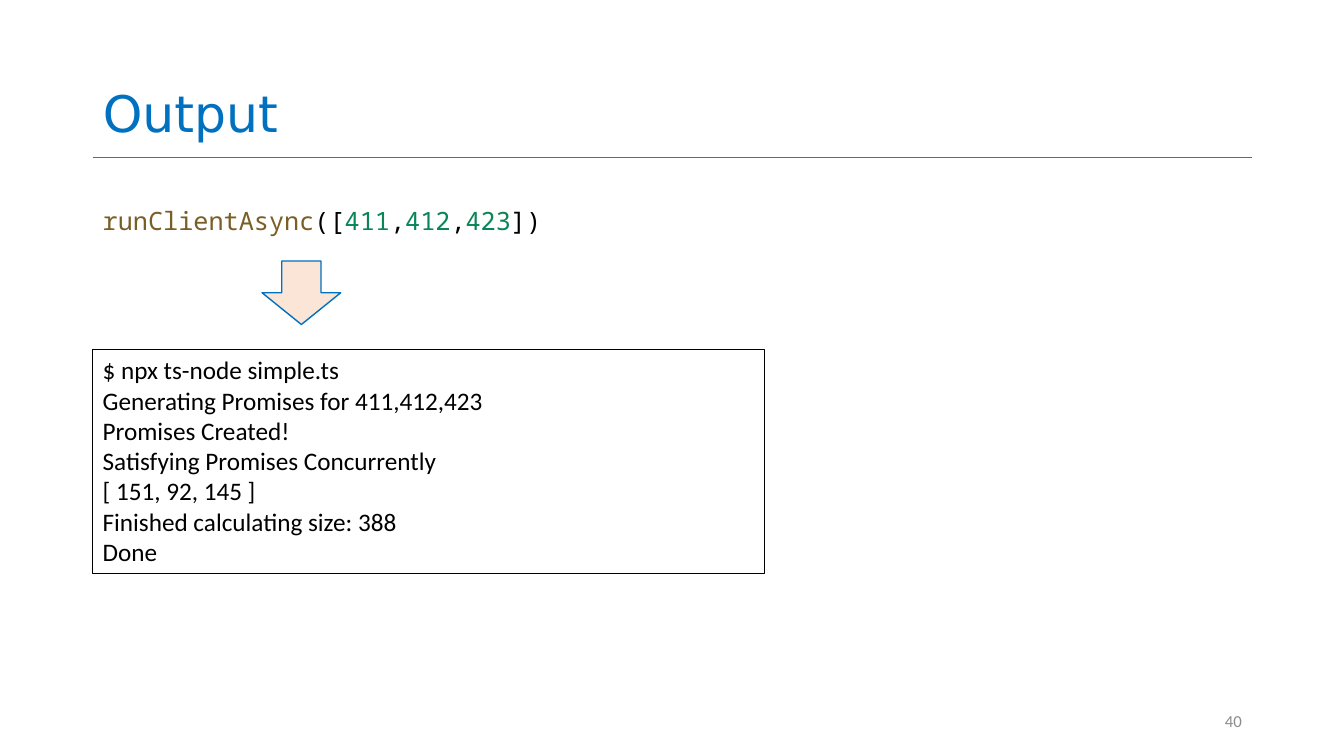
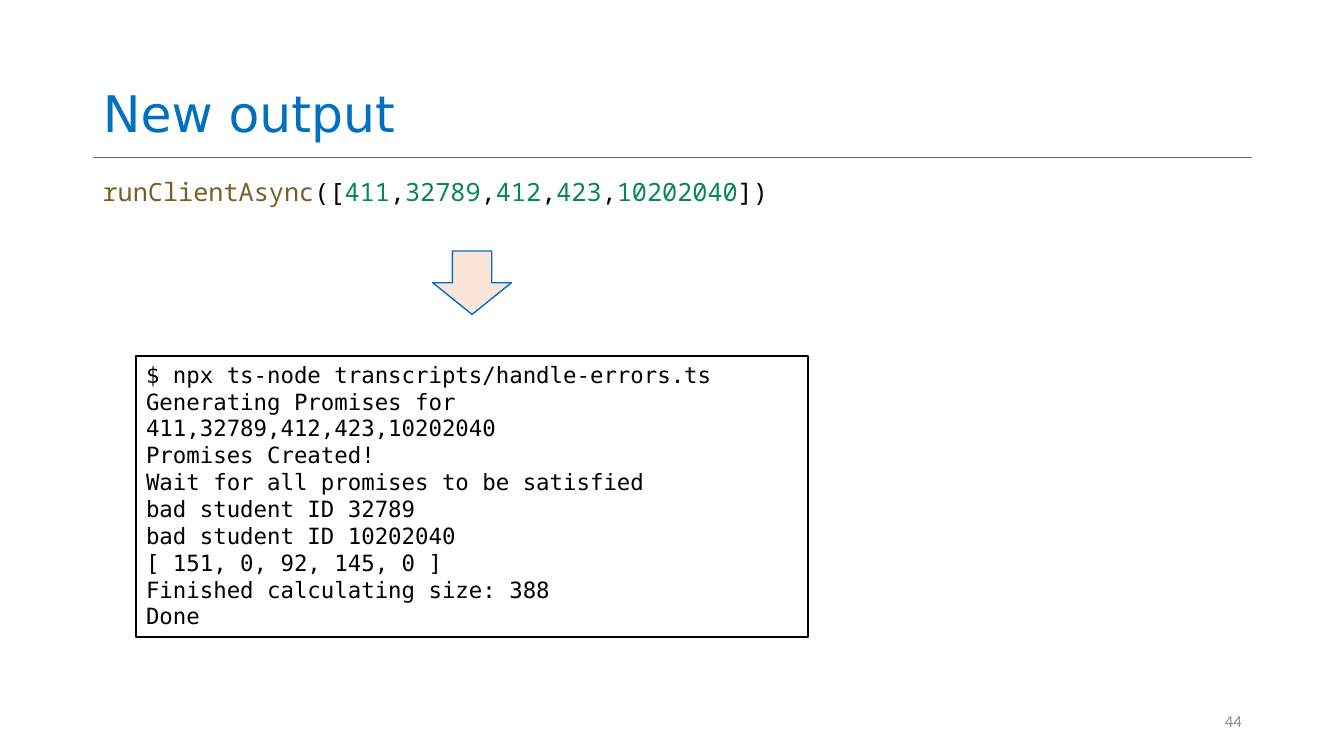
from lxml.etree import SubElement
from pptx import Presentation
from pptx.dml.color import RGBColor
from pptx.enum.shapes import MSO_CONNECTOR, MSO_SHAPE
from pptx.enum.text import MSO_ANCHOR, MSO_AUTO_SIZE, PP_ALIGN
from pptx.oxml.ns import qn
from pptx.util import Inches, Pt

BLUE = RGBColor(0x00, 0x70, 0xC0)
PEACH = RGBColor(0xFB, 0xE5, 0xD6)
BROWN = RGBColor(0x79, 0x5E, 0x26)
GREEN = RGBColor(0x09, 0x86, 0x58)
BLACK = RGBColor(0x00, 0x00, 0x00)
WHITE = RGBColor(0xFF, 0xFF, 0xFF)
GREY = RGBColor(0x8C, 0x8C, 0x8C)
SLATE = RGBColor(0x69, 0x69, 0x69)

WIDTH, HEIGHT = Inches(13.33), Inches(7.5)
LEFT, SPAN = 6.9, 86.25
RULE = 20.8
TITLE = (LEFT, 0.27, SPAN, 19.33)
NUMBER = (LEFT + SPAN - 22.5, 92.67, 22.5, 5.33)
ARROW = (5.85, 8.4)


def scale(box):
    """Turn percentages of the slide into lengths."""
    return [int(part * side / 100)
            for part, side in zip(box, (WIDTH, HEIGHT) * 2)]


def write(para, text, font, size, color):
    """Add one formatted run."""
    run = para.add_run()
    run.text = text
    run.font.name = font
    run.font.size = Pt(size)
    run.font.color.rgb = color


def label(slide, box):
    """Add a wrapping text box and return its frame."""
    frame = slide.shapes.add_textbox(*scale(box)).text_frame
    frame.word_wrap = True
    return frame


def block(slide, kind, box, fill, line):
    """Add a flat outlined shape."""
    shape = slide.shapes.add_shape(kind, *scale(box))
    shape.shadow.inherit = False
    shape.fill.solid()
    shape.fill.fore_color.rgb = fill
    shape.line.color.rgb = line
    shape.line.width = Pt(1)
    return shape


def frame_slide(deck, title, number):
    """Add a slide with its title, rule and page number."""
    slide = deck.slides.add_slide(deck.slide_layouts[5])
    head = slide.shapes.title
    head.left, head.top, head.width, head.height = scale(TITLE)
    frame = head.text_frame
    frame.auto_size = MSO_AUTO_SIZE.NONE
    frame.vertical_anchor = MSO_ANCHOR.BOTTOM
    para = frame.paragraphs[0]
    para.alignment = PP_ALIGN.LEFT
    para.line_spacing = 0.9
    write(para, title, "DejaVu Sans", 36, BLUE)

    ends = scale((LEFT, RULE, LEFT + SPAN, RULE))
    rule = slide.shapes.add_connector(MSO_CONNECTOR.STRAIGHT, *ends)
    rule.line.color.rgb = SLATE
    rule.line.width = Pt(0.5)
    SubElement(rule.line._get_or_add_ln().getparent(), qn("a:effectLst"))

    foot = label(slide, NUMBER)
    foot.vertical_anchor = MSO_ANCHOR.MIDDLE
    foot.paragraphs[0].alignment = PP_ALIGN.RIGHT
    write(foot.paragraphs[0], str(number), "Calibri", 12, GREY)
    return slide


def call(slide, box, values):
    """Write the coloured function call."""
    para = label(slide, box).paragraphs[0]
    parts = [("runClientAsync", BROWN)]
    for index, value in enumerate(values):
        parts += [("," if index else "([", BLACK), (str(value), GREEN)]
    for text, color in parts + [("])", BLACK)]:
        write(para, text, "Noto Sans Mono", 18, color)


def panel(slide, box, lines, font, size):
    """Draw the console box with one paragraph per line."""
    frame = block(slide, MSO_SHAPE.RECTANGLE, box, WHITE, BLACK).text_frame
    frame.word_wrap = True
    frame.vertical_anchor = MSO_ANCHOR.TOP
    for index, line in enumerate(lines):
        para = frame.add_paragraph() if index else frame.paragraphs[0]
        para.alignment = PP_ALIGN.LEFT
        write(para, line, font, size, BLACK)


def demo(deck, title, number, values, call_box, tip, box, lines, font, size):
    """Build a slide leading from a call to its console output."""
    slide = frame_slide(deck, title, number)
    call(slide, call_box, values)
    panel(slide, box, lines, font, size)
    block(slide, MSO_SHAPE.DOWN_ARROW, tip + ARROW, PEACH, BLUE)


def main():
    """Build and save the deck."""
    deck = Presentation()
    deck.slide_width, deck.slide_height = WIDTH, HEIGHT
    demo(deck, "Output", 40, (411, 412, 423),
         (LEFT, 26.53, 50, 8.13), (19.5, 34.53), (LEFT, 46.27, 50, 29.6),
         ("$ npx ts-node simple.ts",
          "Generating Promises for 411,412,423",
          "Promises Created!",
          "Satisfying Promises Concurrently",
          "[ 151, 92, 145 ]",
          "Finished calculating size: 388",
          "Done"), "Calibri", 18)
    demo(deck, "New output", 44, (411, 32789, 412, 423, 10202040),
         (LEFT, 22.67, 56.5, 24.67), (32.2, 33.2), (10.13, 47.07, 50, 37.2),
         ("$ npx ts-node transcripts/handle-errors.ts",
          "Generating Promises for 411,32789,412,423,10202040",
          "Promises Created!",
          "Wait for all promises to be satisfied",
          "bad student ID 32789",
          "bad student ID 10202040",
          "[ 151, 0, 92, 145, 0 ]",
          "Finished calculating size: 388",
          "Done"), "DejaVu Sans Mono", 16)
    deck.save("out.pptx")


if __name__ == "__main__":
    main()
